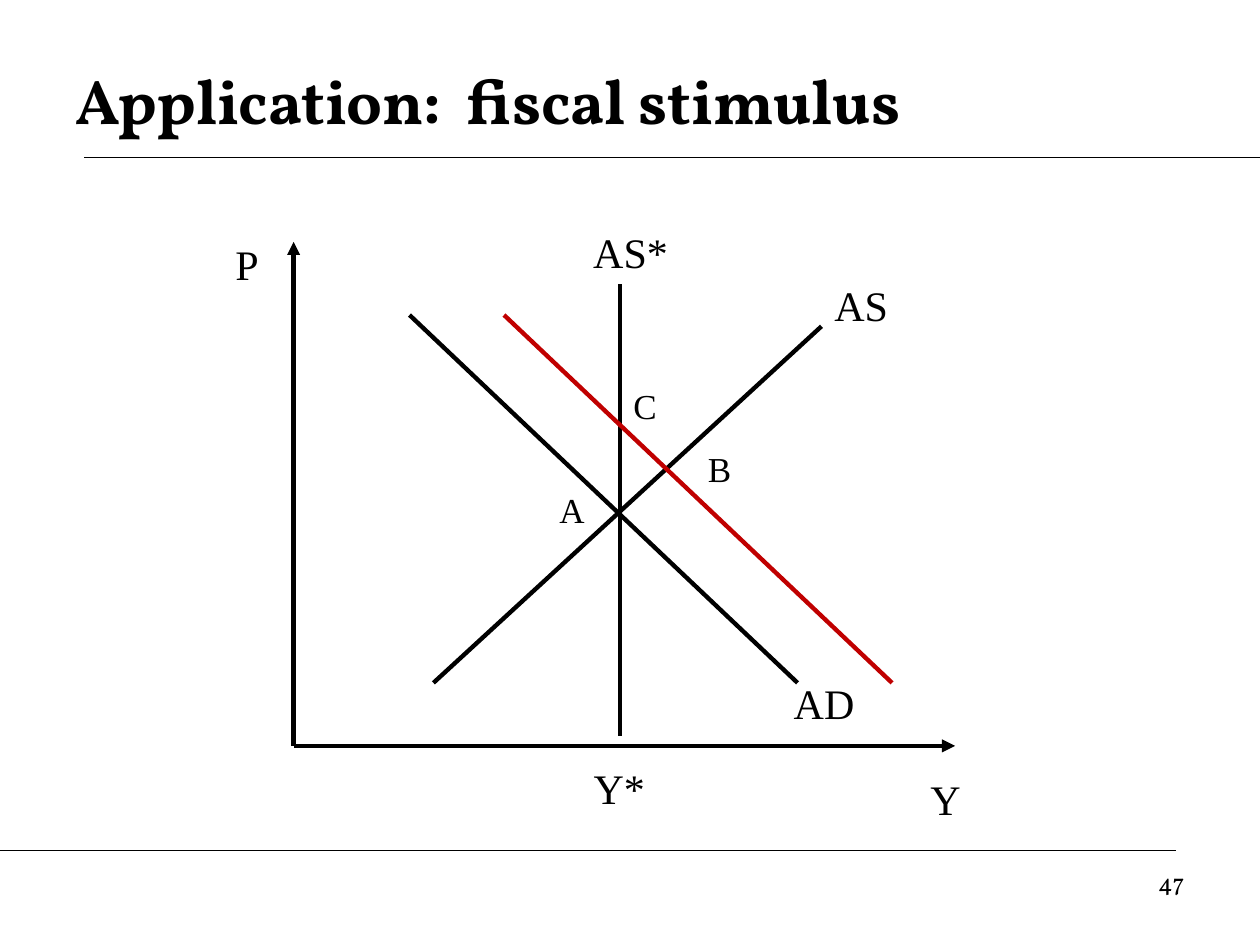
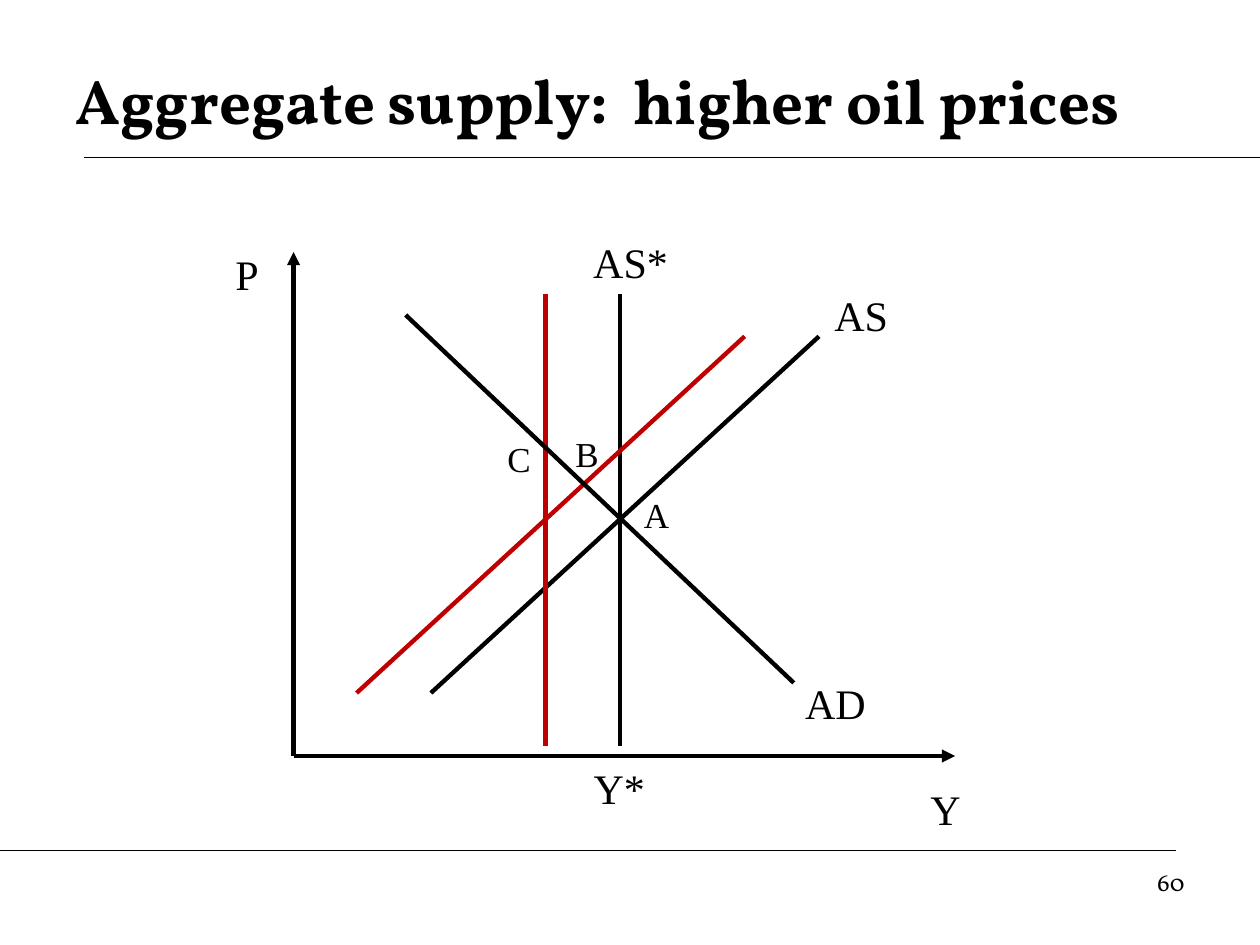
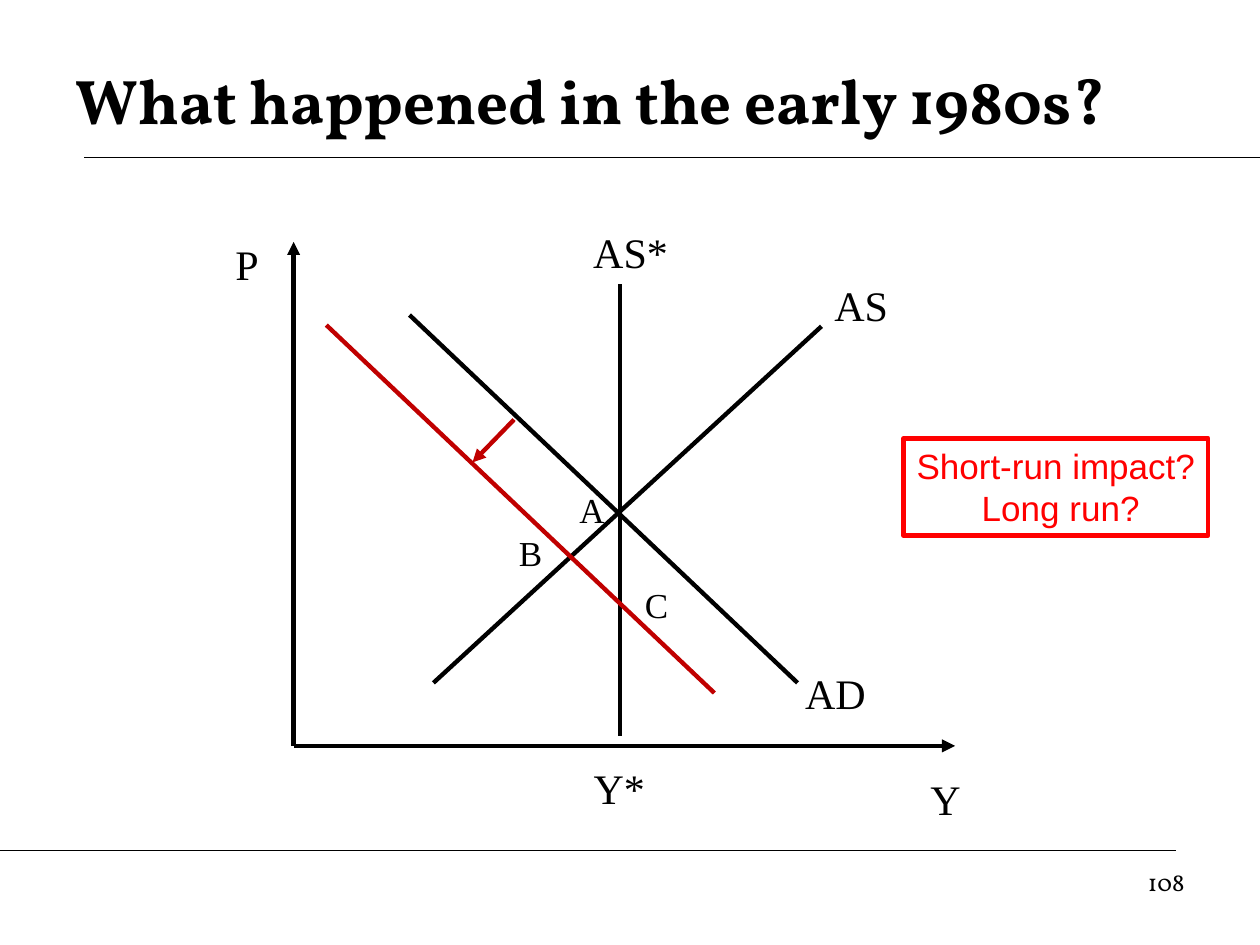
from lxml import etree
from pptx import Presentation
from pptx import util as u
from pptx.dml.color import RGBColor
from pptx.enum import shapes, text
from pptx.oxml.ns import qn

INK = {"black": "000000", "shift": "C00000", "alert": "FF0000"}
FACE = {"head": "Vollkorn", "label": "Times New Roman", "note": "Arial"}
ALIGN = text.PP_ALIGN


class Deck:
    """Holds the shared style and the current slide."""

    def __init__(self):
        self.prs = Presentation()
        self.prs.slide_width = u.Inches(10)
        self.prs.slide_height = u.Inches(7.5)
        self.slide = None

    def page(self, title, number):
        self.slide = self.prs.slides.add_slide(self.prs.slide_layouts[6])
        self.line((0.67, 1.25), (10, 1.25), width=0.75)
        self.line((0, 6.75), (9.33, 6.75), width=0.75)
        self.words(title, 0.5, 0.33, 9, 0.92, 36, "head", ALIGN.LEFT,
                   bold=True, anchor=text.MSO_ANCHOR.MIDDLE)
        self.words(number, 7.17, 6.83, 2.33, 0.52, 14, "head", ALIGN.RIGHT)

    def line(self, start, end, ink="black", width=2.5, arrow=False):
        ends = [u.Inches(n) for n in (*start, *end)]
        link = self.slide.shapes.add_connector(shapes.MSO_CONNECTOR.STRAIGHT, *ends)
        link.line.color.rgb = RGBColor.from_string(INK[ink])
        link.line.width = u.Pt(width)
        if arrow:
            tail = etree.SubElement(link.line._get_or_add_ln(), qn("a:tailEnd"))
            tail.set("type", "triangle")
        etree.SubElement(link._element.spPr, qn("a:effectLst"))

    def fill(self, shape, string, size, face, align, ink="black", bold=False,
             anchor=text.MSO_ANCHOR.TOP):
        frame = shape.text_frame
        frame.word_wrap = True
        frame.vertical_anchor = anchor
        para = frame.paragraphs[0]
        para.text = string
        para.alignment = align
        font = para.font
        font.name, font.size, font.bold = FACE[face], u.Pt(size), bold
        font.color.rgb = RGBColor.from_string(INK[ink])

    def words(self, string, x, y, w, h, size, face, align, **style):
        box = self.slide.shapes.add_textbox(*map(u.Inches, (x, y, w, h)))
        self.fill(box, string, size, face, align, **style)

    def label(self, string, x, y, w=0.67):
        self.words(string, x, y, w, 0.5, 24, "label", ALIGN.CENTER)

    def point(self, string, x, y, w=0.58):
        self.words(string, x, y, w, 0.43, 20, "label", ALIGN.CENTER)

    def note(self, string, x, y, w, h):
        box = self.slide.shapes.add_shape(shapes.MSO_SHAPE.RECTANGLE,
                                          *map(u.Inches, (x, y, w, h)))
        box.shadow.inherit = False
        box.fill.background()
        box.line.color.rgb = RGBColor.from_string(INK["alert"])
        box.line.width = u.Pt(2.5)
        self.fill(box, string, 20, "note", ALIGN.CENTER, ink="alert")

    # Curves start at their lower end
    def demand(self, x, y=5.42, ink="black"):
        self.line((x, y), (x - 3.08, y - 2.92), ink)

    def supply(self, x, y, ink="black"):
        self.line((x, y), (x + 3.08, y - 2.83), ink)

    def longrun(self, x, base, ink="black"):
        self.line((x, base - 0.08), (x, base - 3.67), ink)

    def market(self, base, start):
        """Axes and both supply curves, hung from the height of the Y axis."""
        self.line((2.33, base), (7.58, base), arrow=True)
        self.line((2.33, base), (2.33, base - 4), arrow=True)
        self.label("Y", 7.17, base + 0.17)
        self.label("P", 1.67, base - 4.08, 0.58)
        self.supply(start, base - 0.5)
        self.label("AS", 6.5, base - 3.75)
        self.longrun(4.92, base)
        self.label("AS*", 4.42, base - 4.17, 1.17)
        self.label("Y*", 4.58, 6)


def main():
    deck = Deck()

    # Demand shifts right
    deck.page("Application:  fiscal stimulus", "47")
    deck.market(5.92, 3.44)
    deck.demand(6.33)
    deck.label("AD", 6.08, 5.33, 0.92)
    deck.demand(7.08, ink="shift")
    deck.point("A", 4.25, 3.83)
    deck.point("B", 5.42, 3.5)
    deck.point("C", 4.83, 3)

    # Both supply curves shift left
    deck.page("Aggregate supply:  higher oil prices", "60")
    deck.market(6, 3.42)
    deck.longrun(4.33, 6, "shift")
    deck.supply(2.83, 5.5, "shift")
    deck.demand(6.3)
    deck.label("AD", 6.17, 5.33, 0.92)
    deck.point("A", 4.92, 3.87)
    deck.point("B", 4.37, 3.38)
    deck.point("C", 3.83, 3.42)

    # Demand shifts left
    deck.page("What happened in the early 1980s?", "108")
    deck.market(5.92, 3.44)
    deck.demand(6.33)
    deck.label("AD", 6.17, 5.25, 0.92)
    deck.demand(5.67, 5.5, "shift")
    deck.line((4.08, 3.33), (3.75, 3.67), "shift", arrow=True)
    deck.point("A", 4.5, 3.83, 0.33)
    deck.point("B", 3.92, 4.17)
    deck.point("C", 4.92, 4.58)
    deck.note("Short-run impact?  Long run?", 7.17, 3.48, 2.42, 0.77)

    deck.prs.save("out.pptx")


if __name__ == "__main__":
    main()
